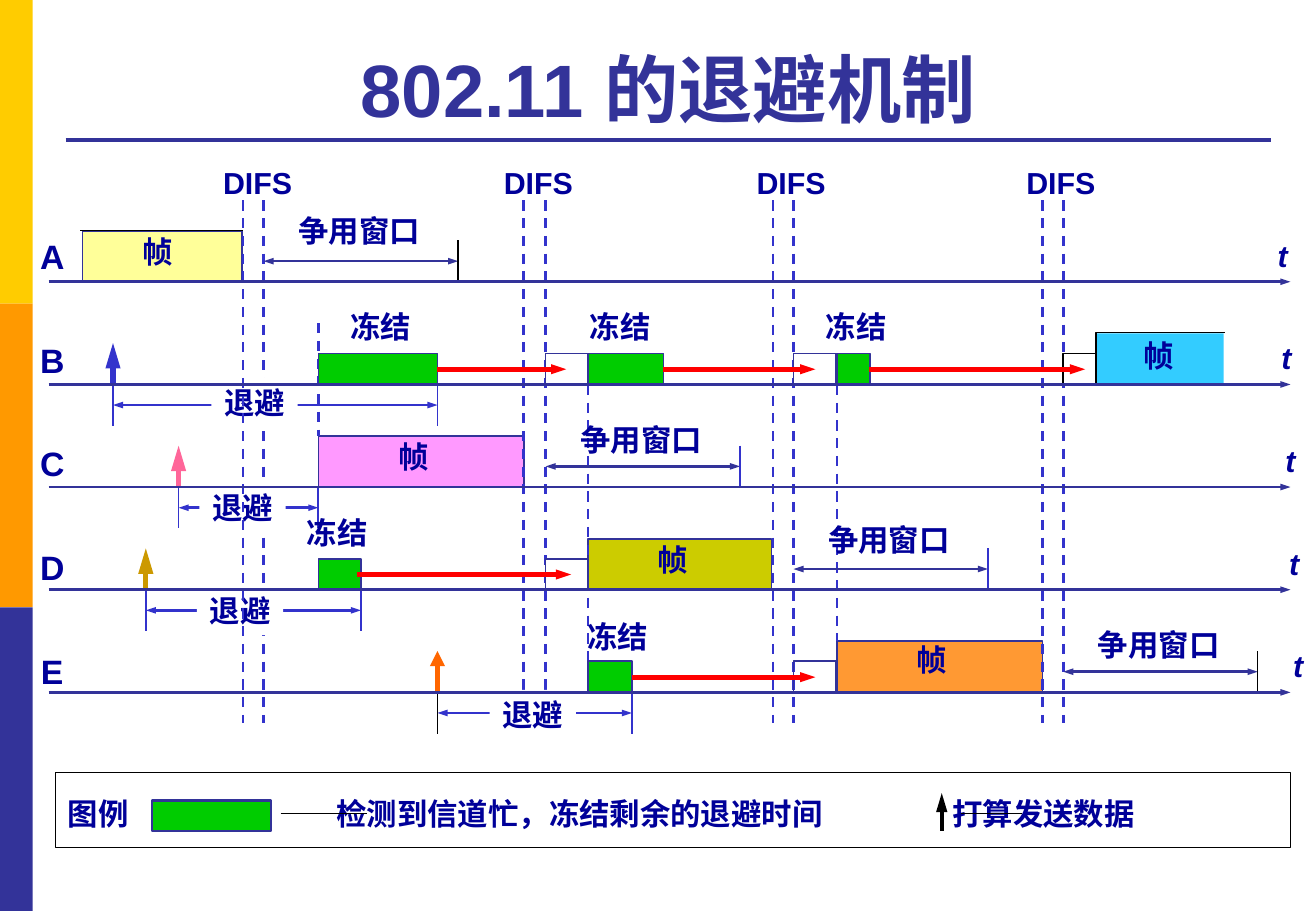
import pptx
import pptx.util
import pptx.dml.color
import pptx.enum.dml
import pptx.enum.shapes
import pptx.enum.text
import pptx.oxml
import pptx.oxml.ns

NAVY, INDIGO, BLUE = "000099", "333399", "3333CC"
GREEN, RED, BLACK, WHITE = "00CC00", "FF0000", "000000", "FFFFFF"
THIN, FINE, MEDIUM, THICK = 0.75, 1, 1.5, 3
SMALL_HEAD, EVEN_HEAD, LONG_HEAD = ("sm", "med"), ("med", "med"), ("med", "lg")
CENTER = pptx.enum.text.PP_ALIGN.CENTER
LEFT = pptx.enum.text.PP_ALIGN.LEFT


def color(value):
    return pptx.dml.color.RGBColor.from_string(value)


def cells(count):
    return pptx.util.Inches(count / 10)


def lane_axis(lane):
    return 23.2 + 8.45 * "ABCDE".index(lane)


class Diagram:
    """Draws styled elements on a slide measured in cells of a tenth of an inch."""

    def __init__(self, presentation):
        self.slide = presentation.slides.add_slide(presentation.slide_layouts[6])
        self.shapes = self.slide.shapes
        self.font = {"name": "Arial", "size": 18, "bold": True, "italic": False}

    def stroke(self, shape, line_color, width):
        if line_color:
            shape.line.color.rgb = color(line_color)
            shape.line.width = pptx.util.Pt(width)
        else:
            shape.line.fill.background()

    def box(self, x, y, width, height, fill=None, line_color=None, line_width=FINE):
        shape = self.shapes.add_shape(pptx.enum.shapes.MSO_SHAPE.RECTANGLE,
                                      *map(cells, (x, y, width, height)))
        shape.shadow.inherit = False
        if fill:
            shape.fill.solid()
            shape.fill.fore_color.rgb = color(fill)
        else:
            shape.fill.background()
        self.stroke(shape, line_color, line_width)

    def line(self, start, end, line_color, width=MEDIUM, dashed=False, heads=(), size=SMALL_HEAD):
        connector = self.shapes.add_connector(pptx.enum.shapes.MSO_CONNECTOR.STRAIGHT,
                                              *map(cells, (*start, *end)))
        self.stroke(connector, line_color, width)
        if dashed:
            connector.line.dash_style = pptx.enum.dml.MSO_LINE.DASH
        properties = connector._element.spPr
        outline = properties.find(pptx.oxml.ns.qn("a:ln"))
        for head in heads:
            element = pptx.oxml.parse_xml(f'<a:{head} {pptx.oxml.ns.nsdecls("a")} type="triangle"/>')
            element.set("w", size[0])
            element.set("len", size[1])
            outline.append(element)
        properties.append(pptx.oxml.parse_xml(f'<a:effectLst {pptx.oxml.ns.nsdecls("a")}/>'))

    def double_arrow(self, start, end, y, line_color):
        self.line((start, y), (end, y), line_color, heads=("headEnd", "tailEnd"))

    def outline(self, points, line_color, width):
        builder = self.shapes.build_freeform(*map(cells, points[0]))
        builder.add_line_segments([tuple(map(cells, point)) for point in points[1:]], close=False)
        shape = builder.convert_to_shape()
        shape.shadow.inherit = False
        shape.fill.background()
        self.stroke(shape, line_color, width)

    def text(self, words, center, top, width, height=4, fill=None, text_color=NAVY,
             alignment=CENTER, **changes):
        shape = self.shapes.add_textbox(*map(cells, (center - width / 2, top, width, height)))
        if fill:
            shape.fill.solid()
            shape.fill.fore_color.rgb = color(fill)
        shape.text_frame.word_wrap = False
        paragraph = shape.text_frame.paragraphs[0]
        paragraph.alignment = alignment
        run = paragraph.add_run()
        run.text = words
        values = {**self.font, **changes}
        values["size"] = pptx.util.Pt(values["size"])
        for name, value in values.items():
            setattr(run.font, name, value)
        run.font.color.rgb = color(text_color)

    def frame(self, lane, start, width, fill, label_center, label_top, line_color=INDIGO):
        self.box(start, lane_axis(lane) - 4.2, width, 4.2, fill, line_color)
        self.text("帧", label_center, label_top, 4.5)

    def contention(self, lane, start, label_top, tick_color, tick_width):
        axis, end = lane_axis(lane), start + 16
        self.double_arrow(start, end, axis - 1.7, INDIGO)
        self.line((end, axis - 3.4), (end, axis), tick_color, tick_width)
        self.text("争用窗口", start + 7.85, label_top, 12.1)

    def backoff(self, lane, start, end, label_center, label_top, ready_color, tick, size):
        axis = lane_axis(lane)
        self.line((start, axis), (start, axis - 3.4), ready_color, THICK, heads=("tailEnd",), size=size)
        self.double_arrow(start, end, axis + 1.7, BLUE)
        self.text("退避", label_center, label_top, 7.1, fill=WHITE)
        self.line((start, axis), (start, axis + 3.4), *tick)
        self.line((end, axis), (end, axis + 3.4), BLUE, FINE)

    def slot(self, lane, start, width, fill=None, line_color=INDIGO):
        self.box(start, lane_axis(lane) - 2.55, width, 2.55, fill, line_color)


presentation = pptx.Presentation()
presentation.slide_width = cells(108.3)
presentation.slide_height = cells(75)
diagram = Diagram(presentation)

for index, stripe in enumerate(("FFCC00", "FF9900", INDIGO)):
    diagram.box(0, 25 * index, 2.7, 25, stripe)
diagram.line((5.4, 11.5), (104.6, 11.5), INDIGO, 2.25)
diagram.text("802.11 的退避机制", 55, 3.1, 99, 8, text_color=INDIGO, size=44)

for frame in (("A", 6.8, 13.1, "FFFF99", 12.95, 18.7), ("B", 90.2, 10.5, "33CCFF", 95.35, 27.3, None),
              ("C", 26.2, 16.9, "FF99FF", 34.05, 35.6), ("D", 48.4, 15.1, "CCCC00", 55.35, 44.1),
              ("E", 68.9, 16.9, "FF9933", 76.65, 52.3)):
    diagram.frame(*frame)
diagram.line((6.6, 19), (20, 19), BLACK, THIN)
diagram.outline([(90.2, 31.7), (90.2, 27.4), (100.8, 27.4)], BLACK, THIN)

for x in (21.7, 43.1, 44.9, 63.6, 65.3, 85.8, 87.5):
    diagram.line((x, 16.5), (x, 59.5), BLUE, dashed=True)
for x, top, bottom in ((26.2, 26.6, 35.9), (48.4, 31.7, 54.5), (68.9, 31.7, 52.8)):
    diagram.line((x, top), (x, bottom), BLUE, dashed=True)
for center in (21.2, 44.3, 65.1, 87.3):
    diagram.text("DIFS", center, 13, 7.8)

for contention in (("A", 21.7, 17, BLACK, THIN), ("C", 44.9, 34.2, BLUE, FINE),
                   ("D", 65.3, 42.4, BLUE, FINE), ("E", 87.5, 51.1, BLACK, THIN)):
    diagram.contention(*contention)

for backoff in (("B", 9.3, 36, 20.95, 31.1, BLUE, (BLUE, FINE), LONG_HEAD),
                ("C", 14.7, 26.2, 19.95, 39.8, "FF6699", (BLUE, FINE), LONG_HEAD),
                ("D", 12, 29.7, 19.75, 48.3, "CC9900", (BLUE, FINE), LONG_HEAD),
                ("E", 36, 52, 43.85, 56.8, "FF6600", (BLACK, THIN), EVEN_HEAD)):
    diagram.backoff(*backoff)

for slot in (("B", 44.9, 3.5, WHITE), ("B", 65.3, 3.5, WHITE), ("B", 87.5, 2.7, WHITE, BLACK),
             ("D", 44.9, 3.5, WHITE), ("E", 65.3, 3.5),
             ("B", 26.2, 9.8, GREEN), ("B", 48.4, 6.2, GREEN), ("B", 68.9, 2.7, GREEN),
             ("D", 26.2, 3.5, GREEN), ("E", 48.4, 3.6, GREEN)):
    diagram.slot(*slot)
for lane, start, end in (("B", 36, 46.6), ("B", 54.6, 67.1), ("B", 71.5, 89.3),
                         ("D", 29.4, 47), ("E", 52, 67.1)):
    y = lane_axis(lane) - 1.25
    diagram.line((start, y), (end, y), RED, THICK, heads=("tailEnd",))
for center, top in ((31.35, 24.9), (51.05, 24.9), (70.45, 24.9), (26.75 + 1, 41.8), (50.85, 50.4)):
    diagram.text("冻结", center, top, 7.1)

diagram.line((20, 16.5), (20, 59.5), BLUE, dashed=True)
for index, lane in enumerate("ABCDE"):
    axis = lane_axis(lane)
    diagram.line((4, axis), (106.2, axis), INDIGO, heads=("tailEnd",))
    diagram.text(lane, 4.3, 18.9 + 8.55 * index, 4.1, size=20)
    diagram.text("t", 105.55 + 0.32 * index, axis - 4.2, 2.9, italic=True)

diagram.box(4.6, 63.6, 101.6, 6.2, None, BLACK, THIN)
diagram.box(12.5, 65.9, 9.8, 2.5, GREEN, INDIGO, MEDIUM)
for words, center, width in (("图例", 8.1, 7), ("检测到信道忙，冻结剩余的退避时间", 47.7, 42),
                             ("打算发送数据", 85.9, 17)):
    diagram.text(words, center, 65, width, alignment=LEFT)
for start, end in ((23.1, 30.2), (79.1, 84.1)):
    diagram.line((start, 67), (end, 67), BLACK, THIN)
diagram.line((77.5, 68.4), (77.5, 65.3), BLACK, 2.25, heads=("tailEnd",), size=LONG_HEAD)

presentation.save("out.pptx")
